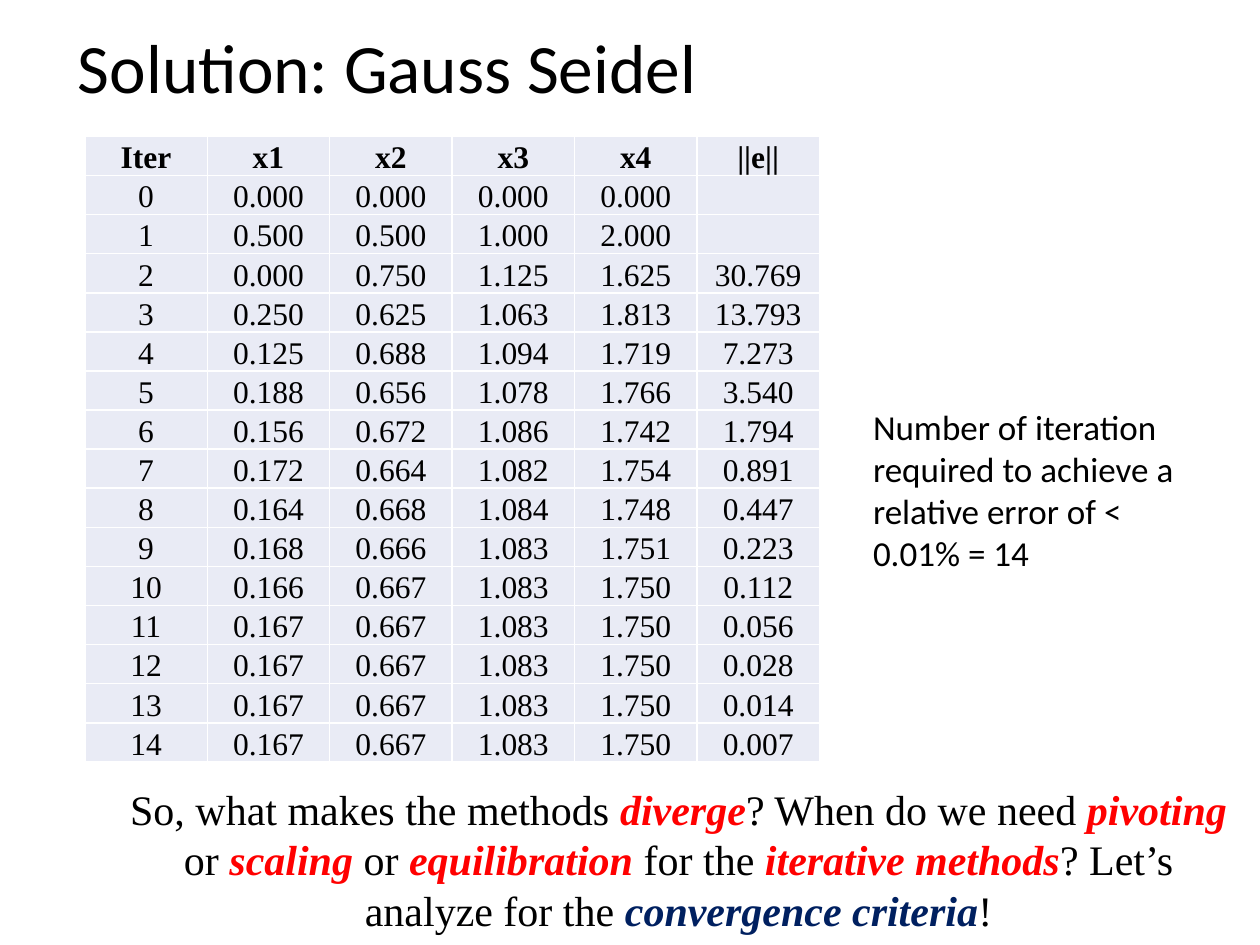
from dataclasses import dataclass
from typing import NamedTuple

from lxml import etree
from pptx import Presentation
from pptx import util as u
from pptx.dml.color import RGBColor
from pptx.enum import text
from pptx.oxml import ns


@dataclass(frozen=True)
class Theme:
    sans: str = "Calibri"
    serif: str = "Times New Roman"
    ink: str = "000000"
    alert: str = "FF0000"
    navy: str = "002060"
    cell: str = "E9EBF5"
    border: str = "FFFFFF"
    title_size: float = 39.6
    note_size: float = 20
    table_size: float = 18
    question_size: float = 24


THEME = Theme()


class Span(NamedTuple):
    words: str
    color: str = THEME.ink
    strong: bool = False


@dataclass(frozen=True)
class TextBlock:
    left: float
    top: float
    width: float
    height: float
    spans: list[Span]
    font: str
    size: float
    align: text.PP_ALIGN = text.PP_ALIGN.LEFT
    anchor: text.MSO_ANCHOR = text.MSO_ANCHOR.TOP
    fit: text.MSO_AUTO_SIZE = text.MSO_AUTO_SIZE.SHAPE_TO_FIT_TEXT
    line_spacing: float = 1.0


TEXT_BLOCKS = [
    TextBlock(1.32, 0.64, 23.06, 1.57, [Span("Solution: Gauss Seidel")],
              THEME.sans, THEME.title_size, anchor=text.MSO_ANCHOR.MIDDLE,
              fit=text.MSO_AUTO_SIZE.NONE, line_spacing=0.9),
    TextBlock(17.35, 8.05, 6.93, 3.68,
              [Span("Number of iteration required to achieve a "
                    "relative error of < 0.01% = 14")],
              THEME.sans, THEME.note_size),
    TextBlock(2.33, 15.67, 22.7, 3.33, [
        Span("So, what makes the methods "),
        Span("diverge", THEME.alert, True),
        Span("? When do we need "),
        Span("pivoting", THEME.alert, True),
        Span(" or "),
        Span("scaling", THEME.alert, True),
        Span(" or "),
        Span("equilibration", THEME.alert, True),
        Span(" for the "),
        Span("iterative methods", THEME.alert, True),
        Span("? Let’s analyze for the "),
        Span("convergence criteria", THEME.navy, True),
        Span("!"),
    ], THEME.serif, THEME.question_size, text.PP_ALIGN.CENTER),
]

HEADINGS = ["Iter", "x1", "x2", "x3", "x4", "||e||"]
ITERATIONS = [
    ("0.000", "0.000", "0.000", "0.000", ""),
    ("0.500", "0.500", "1.000", "2.000", ""),
    ("0.000", "0.750", "1.125", "1.625", "30.769"),
    ("0.250", "0.625", "1.063", "1.813", "13.793"),
    ("0.125", "0.688", "1.094", "1.719", "7.273"),
    ("0.188", "0.656", "1.078", "1.766", "3.540"),
    ("0.156", "0.672", "1.086", "1.742", "1.794"),
    ("0.172", "0.664", "1.082", "1.754", "0.891"),
    ("0.164", "0.668", "1.084", "1.748", "0.447"),
    ("0.168", "0.666", "1.083", "1.751", "0.223"),
    ("0.166", "0.667", "1.083", "1.750", "0.112"),
    ("0.167", "0.667", "1.083", "1.750", "0.056"),
    ("0.167", "0.667", "1.083", "1.750", "0.028"),
    ("0.167", "0.667", "1.083", "1.750", "0.014"),
    ("0.167", "0.667", "1.083", "1.750", "0.007"),
]


def style_font(font, name: str, size: float, color: str,
               bold: bool = False, italic: bool = False) -> None:
    font.name = name
    font.size = u.Pt(size)
    font.bold = bold
    font.italic = italic
    font.color.rgb = RGBColor.from_string(color)


def draw_text(page, block: TextBlock) -> None:
    box = page.shapes.add_textbox(u.Cm(block.left), u.Cm(block.top),
                                  u.Cm(block.width), u.Cm(block.height))
    frame = box.text_frame
    frame.word_wrap = True
    frame.auto_size = block.fit
    frame.vertical_anchor = block.anchor
    para = frame.paragraphs[0]
    para.alignment = block.align
    para.line_spacing = block.line_spacing
    for span in block.spans:
        run = para.add_run()
        run.text = span.words
        style_font(run.font, block.font, block.size, span.color,
                   span.strong, span.strong)


def draw_borders(cell) -> None:
    properties = cell._tc.get_or_add_tcPr()
    for position, side in enumerate(("lnL", "lnR", "lnT", "lnB")):
        line = etree.Element(ns.qn(f"a:{side}"), w=str(u.Pt(1)))
        fill = etree.SubElement(line, ns.qn("a:solidFill"))
        etree.SubElement(fill, ns.qn("a:srgbClr"), val=THEME.border)
        properties.insert(position, line)


def draw_cell(cell, words: str, bold: bool) -> None:
    cell.fill.solid()
    cell.fill.fore_color.rgb = RGBColor.from_string(THEME.cell)
    cell.margin_left = cell.margin_right = cell.margin_top = u.Cm(0.02)
    cell.margin_bottom = 0
    cell.vertical_anchor = text.MSO_ANCHOR.BOTTOM
    draw_borders(cell)
    para = cell.text_frame.paragraphs[0]
    para.alignment = text.PP_ALIGN.CENTER
    if words:
        para.text = words
        style_font(para.runs[0].font, THEME.serif, THEME.table_size,
                   THEME.ink, bold)
    else:
        etree.SubElement(para._p, ns.qn("a:endParaRPr"), sz="1200")


def draw_table(page, left: float, top: float, width: float, height: float) -> None:
    rows = [HEADINGS] + [(str(index), *values)
                         for index, values in enumerate(ITERATIONS)]
    table = page.shapes.add_table(len(rows), len(HEADINGS), u.Cm(left), u.Cm(top),
                                  u.Cm(width), u.Cm(height)).table
    table.horz_banding = False
    for row_index, row in enumerate(rows):
        for column_index, words in enumerate(row):
            draw_cell(table.cell(row_index, column_index), words, row_index == 0)


def main() -> None:
    deck = Presentation()
    deck.slide_width, deck.slide_height = u.Cm(25.4), u.Cm(19.05)
    page = deck.slides.add_slide(deck.slide_layouts[6])
    draw_table(page, 1.71, 2.75, 14.81, 12.62)
    for block in TEXT_BLOCKS:
        draw_text(page, block)
    deck.save("out.pptx")


if __name__ == "__main__":
    main()
